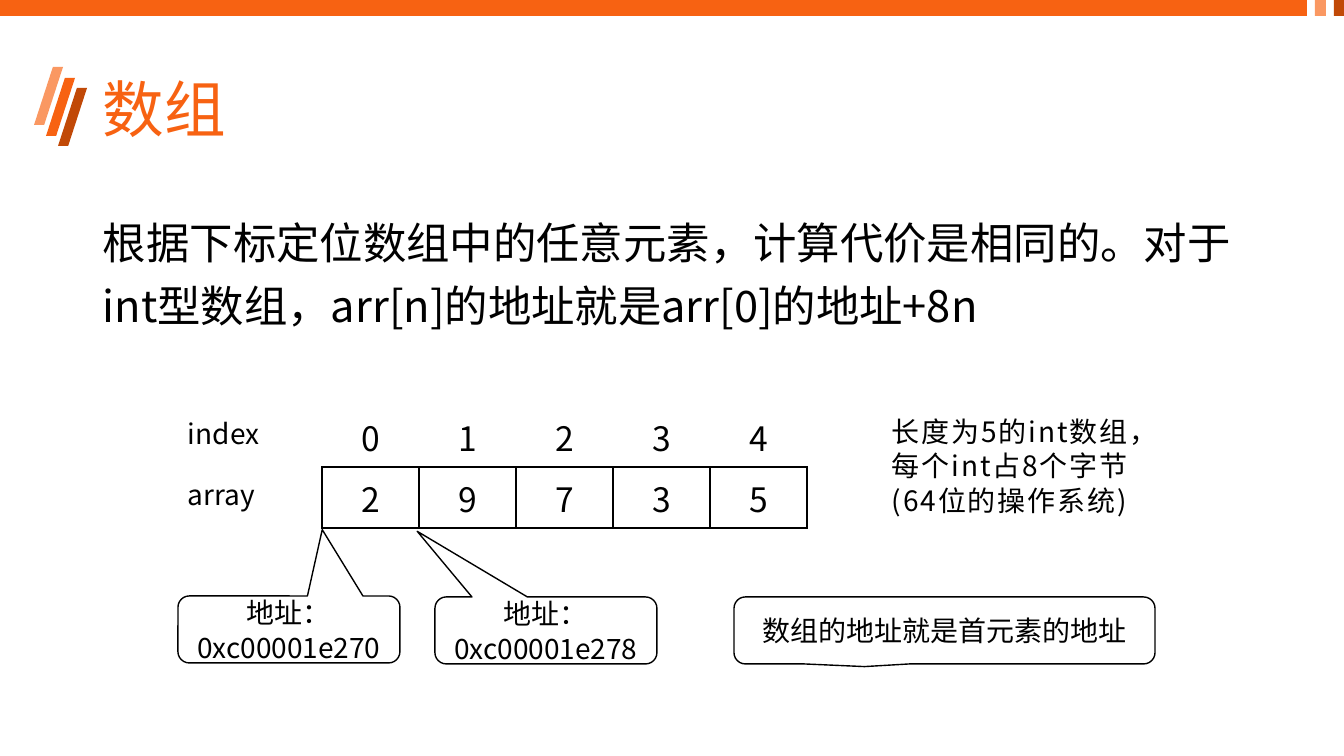
from lxml.etree import SubElement as add_element
from pptx import Presentation
from pptx.dml.color import RGBColor as Color
from pptx.enum.shapes import MSO_SHAPE as Shape
from pptx.enum.text import MSO_ANCHOR as Anchor, MSO_AUTO_SIZE as AutoSize, PP_ALIGN as Align
from pptx.oxml.ns import qn
from pptx.util import Emu, Pt

PX = 914400 / 100.8
FONT = "Noto Sans CJK SC"
COLORS = {"orange": "F76212", "light": "FA9862", "dark": "C14907", "black": "000000"}
PLAIN_TABLE = "{2D5ABB26-0587-4C30-8999-92F81FD0307C}"
SMALL_LINE = Pt(24.5)


def px(*lengths):
    return [Emu(round(length * PX)) for length in lengths]


def color(name):
    return Color.from_string(COLORS[name])


def set_values(target, values):
    for name, value in values.items():
        setattr(target, name, value)


def write(frame, lines, size, ink="black", tracking=None, **paragraph_format):
    for number, line in enumerate(lines):
        paragraph = frame.add_paragraph() if number else frame.paragraphs[0]
        set_values(paragraph, paragraph_format)
        run = paragraph.add_run()
        run.text = line
        set_values(run.font, {"name": FONT, "size": Pt(size)})
        run.font.color.rgb = color(ink)
        properties = run.font._element
        add_element(properties, qn("a:ea"), typeface=FONT)
        if tracking:
            properties.set("spc", str(tracking))


def add_text(slide, box, lines, size, frame_format, **text_format):
    shape = slide.shapes.add_textbox(*px(*box))
    set_values(shape.text_frame, frame_format)
    write(shape.text_frame, lines, size, **text_format)


def add_block(slide, kind, box, fill):
    shape = slide.shapes.add_shape(kind, *px(*box))
    shape.shadow.inherit = False
    shape.fill.solid()
    shape.fill.fore_color.rgb = color(fill)
    shape.line.fill.background()
    return shape


def add_callout(slide, box, tip, lines):
    shape = slide.shapes.add_shape(Shape.ROUNDED_RECTANGULAR_CALLOUT, *px(*box))
    shape.shadow.inherit = False
    shape.fill.background()
    shape.line.color.rgb = color("black")
    shape.line.width = Pt(1)
    for index, value in enumerate((*tip, 0.17)):
        shape.adjustments[index] = value
    set_values(shape.text_frame, {"word_wrap": True, "vertical_anchor": Anchor.MIDDLE,
                                  "margin_top": 0, "margin_bottom": 0})
    write(shape.text_frame, lines, 20, alignment=Align.CENTER, line_spacing=SMALL_LINE)


def add_borders(cell):
    properties = cell._tc.get_or_add_tcPr()
    for side in ("lnL", "lnR", "lnT", "lnB"):
        line = add_element(properties, qn(f"a:{side}"), w=str(Pt(1)))
        fill = add_element(line, qn("a:solidFill"))
        add_element(fill, qn("a:srgbClr"), val=COLORS["black"])


def add_row(slide, top, values, bordered):
    left, column_width, height = 322, 97, 61
    frame = slide.shapes.add_table(1, len(values),
                                   *px(left, top, column_width * len(values), height))
    table = frame.table
    set_values(table, {"first_row": False, "horz_banding": False})
    table._tbl.tblPr.find(qn("a:tableStyleId")).text = PLAIN_TABLE
    for cell, value in zip(table.rows[0].cells, values):
        cell.vertical_anchor = Anchor.MIDDLE
        write(cell.text_frame, [value], 24, alignment=Align.CENTER)
        if bordered:
            add_borders(cell)
        cell.fill.background()


def add_decoration(slide):
    stripes = ((46, 78, "orange"), (34, 67, "light"), (58, 88, "dark"))
    for left, top, fill in stripes:
        stripe = add_block(slide, Shape.PARALLELOGRAM, (left, top, 29, 58), fill)
        stripe.adjustments[0] = 0.65
    for left, width, fill in ((0, 1307, "orange"), (1315, 11, "light"), (1334, 10, "dark")):
        add_block(slide, Shape.RECTANGLE, (left, 0, width, 16), fill)


def main():
    presentation = Presentation()
    width, height = px(1344, 756)
    set_values(presentation, {"slide_width": width, "slide_height": height})
    slide = presentation.slides.add_slide(presentation.slide_layouts[6])
    add_decoration(slide)

    add_text(slide, (93, 40, 1159, 146), ["数组"], 44,
             {"word_wrap": True, "vertical_anchor": Anchor.MIDDLE},
             ink="orange", line_spacing=0.9)
    add_text(slide, (93, 201, 1159, 188),
             ["根据下标定位数组中的任意元素，计算代价是相同的。对于int型数组，arr[n]的地址就是arr[0]的地址+8n"],
             31, {"word_wrap": True}, line_spacing=Pt(44.6))

    add_row(slide, 467, "29735", True)
    add_row(slide, 406, "01234", False)

    label_format = {"word_wrap": False, "auto_size": AutoSize.SHAPE_TO_FIT_TEXT}
    for top, label in ((472, "array"), (411, "index")):
        add_text(slide, (178, top, 96, 44), [label], 20, label_format,
                 line_spacing=SMALL_LINE)
    add_text(slide, (882, 409, 296, 112),
             ["长度为5的int数组，", "每个int占8个字节", "(64位的操作系统)"],
             20, label_format, tracking=130, line_spacing=SMALL_LINE)

    callouts = (
        ((178, 596, 222, 67), (0.15, -1.49), ["地址：", "0xc00001e270"]),
        ((435, 597, 222, 67), (-0.58, -1.48), ["地址：", "0xc00001e278"]),
        ((734, 597, 421, 67), (-0.19, 0.54), ["数组的地址就是首元素的地址"]),
    )
    for callout in callouts:
        add_callout(slide, *callout)

    presentation.save("out.pptx")


if __name__ == "__main__":
    main()
